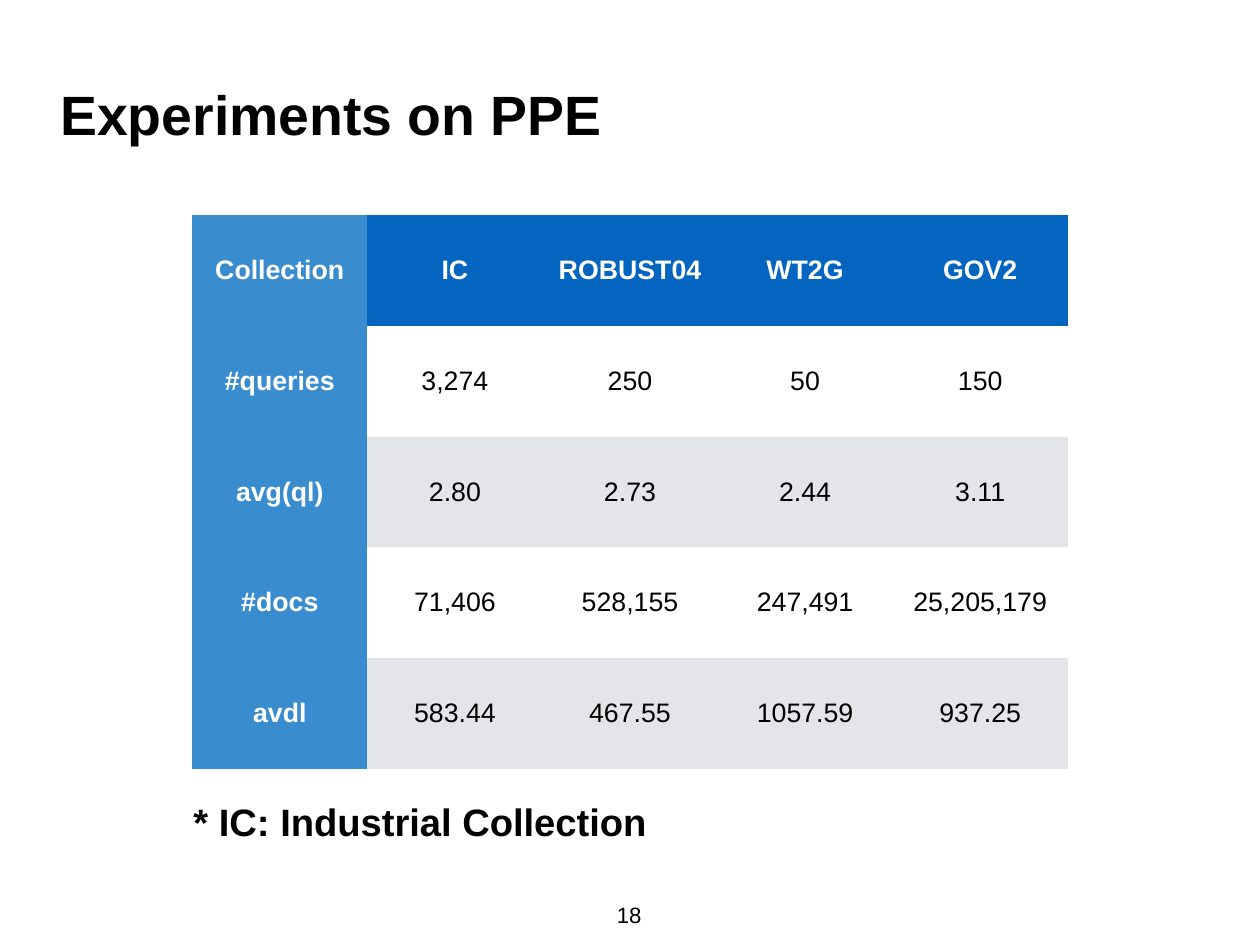
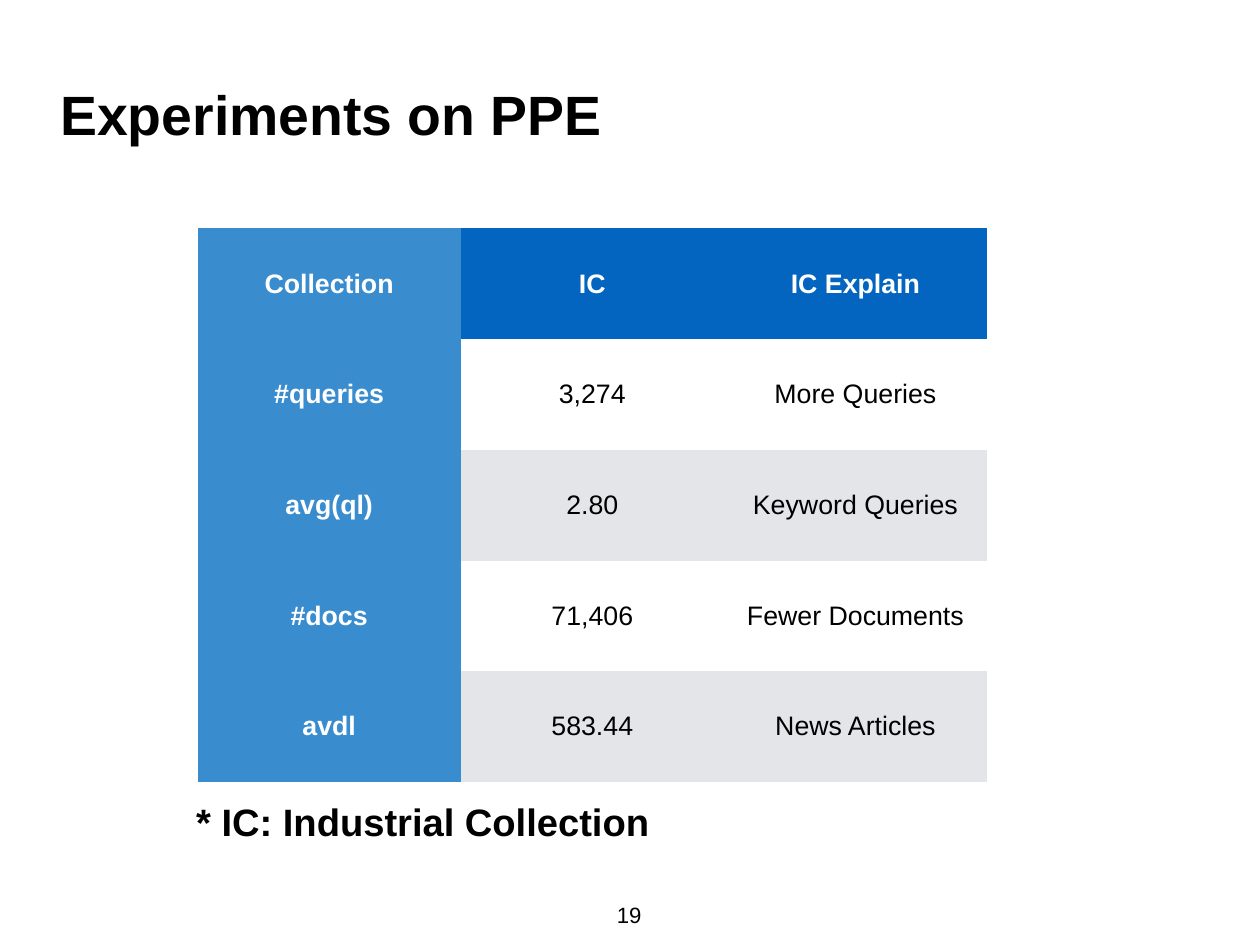
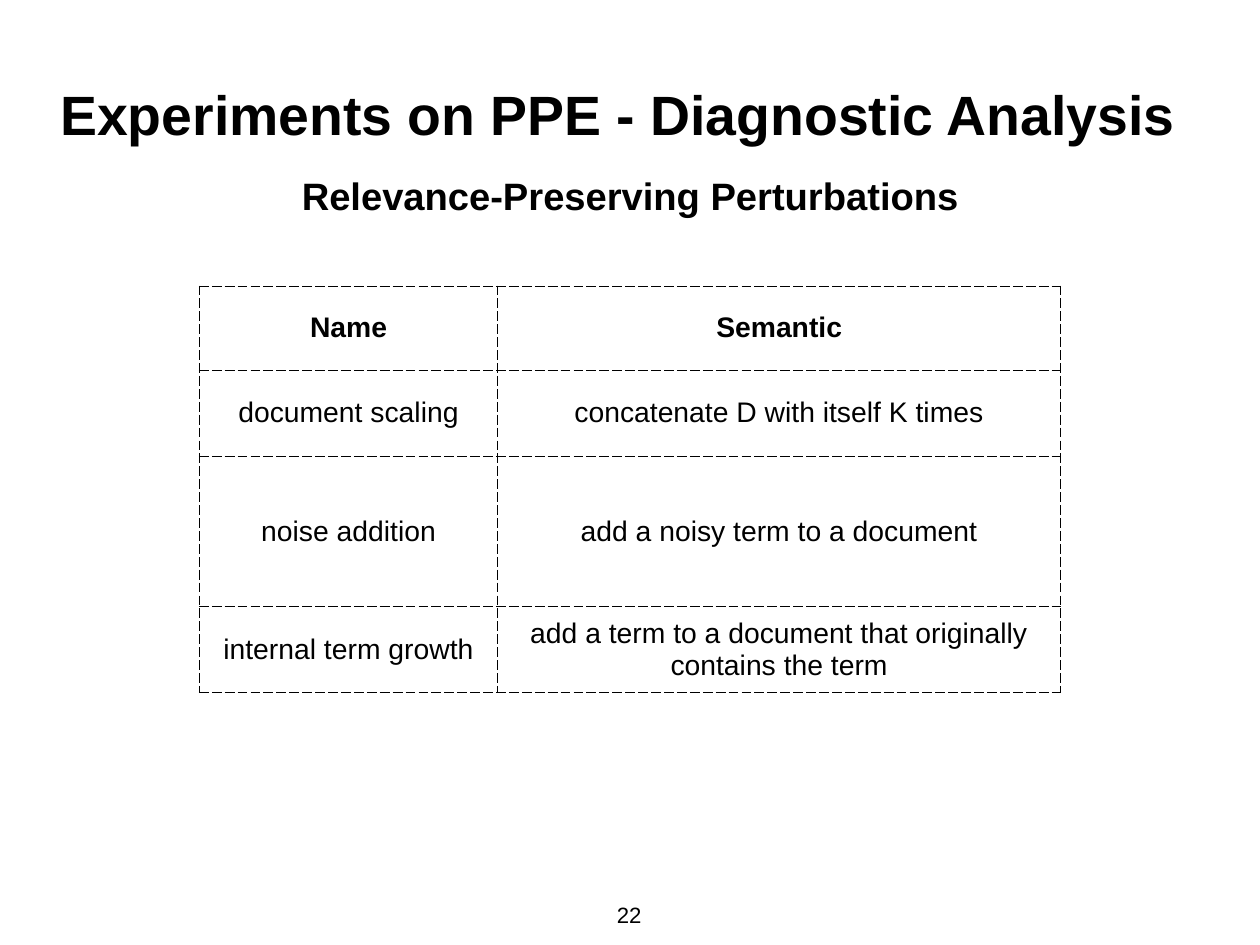
from dataclasses import dataclass

import lxml.etree
import pptx
import pptx.dml.color
import pptx.enum.text
import pptx.oxml
import pptx.oxml.ns
import pptx.util
from pptx.util import Inches

BLACK = pptx.dml.color.RGBColor(0x00, 0x00, 0x00)
WHITE = pptx.dml.color.RGBColor(0xFF, 0xFF, 0xFF)
HEADER_BLUE = pptx.dml.color.RGBColor(0x03, 0x65, 0xC0)
LABEL_BLUE = pptx.dml.color.RGBColor(0x39, 0x8C, 0xCE)
BAND_GREY = pptx.dml.color.RGBColor(0xE3, 0xE5, 0xE8)

FONT = "Arial"
MARGIN = Inches(0.06)
TITLE_SIZE, SUBTITLE_SIZE, NUMBER_SIZE = 45, 31, 18
PLAIN_TABLE_STYLE = "{2D5ABB26-0587-4C30-8999-92F81FD0307C}"

Align = pptx.enum.text.PP_ALIGN
Anchor = pptx.enum.text.MSO_ANCHOR


@dataclass(frozen=True)
class Box:
    left: float
    top: float
    width: float
    height: float


@dataclass(frozen=True)
class TableContent:
    left: float
    top: float
    columns: list[float]
    rows: list[float]
    cells: list[list[str]]
    size: float
    coloured: bool


@dataclass(frozen=True)
class SlideContent:
    title: str
    title_width: float
    number: int
    table: TableContent
    heading: str
    heading_box: Box


NUMBER_BOX = Box(6.9, 10.12, 0.4, 0.42)
COLLECTION_ROWS = [1.25] * 5

SLIDES = [
    SlideContent(
        "Experiments on PPE", 12.14, 18,
        TableContent(2.17, 2.43, [9.88 / 5] * 5, COLLECTION_ROWS, [
            ["Collection", "IC", "ROBUST04", "WT2G", "GOV2"],
            ["#queries", "3,274", "250", "50", "150"],
            ["avg(ql)", "2.80", "2.73", "2.44", "3.11"],
            ["#docs", "71,406", "528,155", "247,491", "25,205,179"],
            ["avdl", "583.44", "467.55", "1057.59", "937.25"],
        ], 21.7, True),
        "* IC: Industrial Collection", Box(2.12, 8.96, 5.24, 0.63)),
    SlideContent(
        "Experiments on PPE", 12.14, 19,
        TableContent(2.23, 2.58, [2.97] * 3, COLLECTION_ROWS, [
            ["Collection", "IC", "IC Explain"],
            ["#queries", "3,274", "More Queries"],
            ["avg(ql)", "2.80", "Keyword Queries"],
            ["#docs", "71,406", "Fewer Documents"],
            ["avdl", "583.44", "News Articles"],
        ], 21.7, True),
        "* IC: Industrial Collection", Box(2.15, 8.96, 5.24, 0.63)),
    SlideContent(
        "Experiments on PPE - Diagnostic Analysis", 12.99, 22,
        TableContent(2.25, 3.23, [3.37, 6.35], [0.95, 0.97, 1.7, 0.97], [
            ["Name", "Semantic"],
            ["document scaling", "concatenate D with itself K times"],
            ["noise addition", "add a noisy term to a document"],
            ["internal term growth",
             "add a term to a document that originally contains the term"],
        ], 23, False),
        "Relevance-Preserving Perturbations", Box(3.34, 1.89, 7.54, 0.63)),
]


def set_text(text_frame, text: str, size: float, bold: bool = False,
             color=BLACK, align=Align.CENTER) -> None:
    text_frame.text = text
    paragraph = text_frame.paragraphs[0]
    paragraph.alignment = align
    font = paragraph.runs[0].font
    font.name, font.size, font.bold = FONT, pptx.util.Pt(size), bold
    font.color.rgb = color


def set_margins(target) -> None:
    target.margin_left = target.margin_right = MARGIN
    target.margin_top = target.margin_bottom = MARGIN


def place(shape, box: Box) -> None:
    shape.left, shape.top = Inches(box.left), Inches(box.top)
    shape.width, shape.height = Inches(box.width), Inches(box.height)


def add_title(slide, text: str, width: float) -> None:
    title = slide.shapes.title
    place(title, Box(0.62, 0.1, width, 2.36))
    text_frame = title.text_frame
    set_margins(text_frame)
    text_frame.vertical_anchor = Anchor.MIDDLE
    text_frame.auto_size = pptx.enum.text.MSO_AUTO_SIZE.NONE
    set_text(text_frame, text, TITLE_SIZE, bold=True, align=Align.LEFT)


def add_label(slide, text: str, box: Box, size: float, bold: bool = False,
              anchor=Anchor.TOP) -> None:
    shape = slide.shapes.add_textbox(0, 0, 0, 0)
    place(shape, box)
    text_frame = shape.text_frame
    set_margins(text_frame)
    text_frame.word_wrap = False
    text_frame.vertical_anchor = anchor
    set_text(text_frame, text, size, bold)


def add_dashed_borders(cell) -> None:
    namespace = pptx.oxml.ns.nsdecls("a")
    properties = cell._tc.get_or_add_tcPr()
    for side in ("lnL", "lnR", "lnT", "lnB"):
        properties.append(pptx.oxml.parse_xml(
            f'<a:{side} {namespace} w="12700"><a:solidFill>'
            f'<a:srgbClr val="{BLACK}"/></a:solidFill>'
            f'<a:prstDash val="dash"/></a:{side}>'))


def cell_fill(row: int, column: int):
    if column == 0:
        return LABEL_BLUE
    if row == 0:
        return HEADER_BLUE
    return WHITE if row % 2 else BAND_GREY


def add_table(slide, content: TableContent) -> None:
    frame = slide.shapes.add_table(
        len(content.rows), len(content.columns),
        Inches(content.left), Inches(content.top),
        Inches(sum(content.columns)), Inches(sum(content.rows)))
    table = frame.table
    table.first_row = table.horz_banding = False
    style = table._tbl.tblPr.find(pptx.oxml.ns.qn("a:tableStyleId"))
    style.text = PLAIN_TABLE_STYLE
    for column, width in zip(table.columns, content.columns):
        column.width = Inches(width)
    for row, height in zip(table.rows, content.rows):
        row.height = Inches(height)

    for row, texts in enumerate(content.cells):
        for column, text in enumerate(texts):
            cell = table.cell(row, column)
            set_margins(cell)
            cell.vertical_anchor = Anchor.MIDDLE
            bold, color = row == 0, BLACK
            if content.coloured:
                bold = row == 0 or column == 0
                color = WHITE if bold else BLACK
                cell.fill.solid()
                cell.fill.fore_color.rgb = cell_fill(row, column)
            else:
                add_dashed_borders(cell)
                cell.fill.background()
            set_text(cell.text_frame, text, content.size, bold, color)


def main() -> None:
    presentation = pptx.Presentation()
    presentation.slide_width = Inches(14.22)
    presentation.slide_height = Inches(10.67)
    title_only = presentation.slide_layouts[5]
    for content in SLIDES:
        slide = presentation.slides.add_slide(title_only)
        add_title(slide, content.title, content.title_width)
        # Page number
        add_label(slide, str(content.number), NUMBER_BOX, NUMBER_SIZE)
        add_table(slide, content.table)
        # Table heading or footnote
        add_label(slide, content.heading, content.heading_box, SUBTITLE_SIZE,
                  bold=True, anchor=Anchor.MIDDLE)
    presentation.save("out.pptx")


if __name__ == "__main__":
    main()
